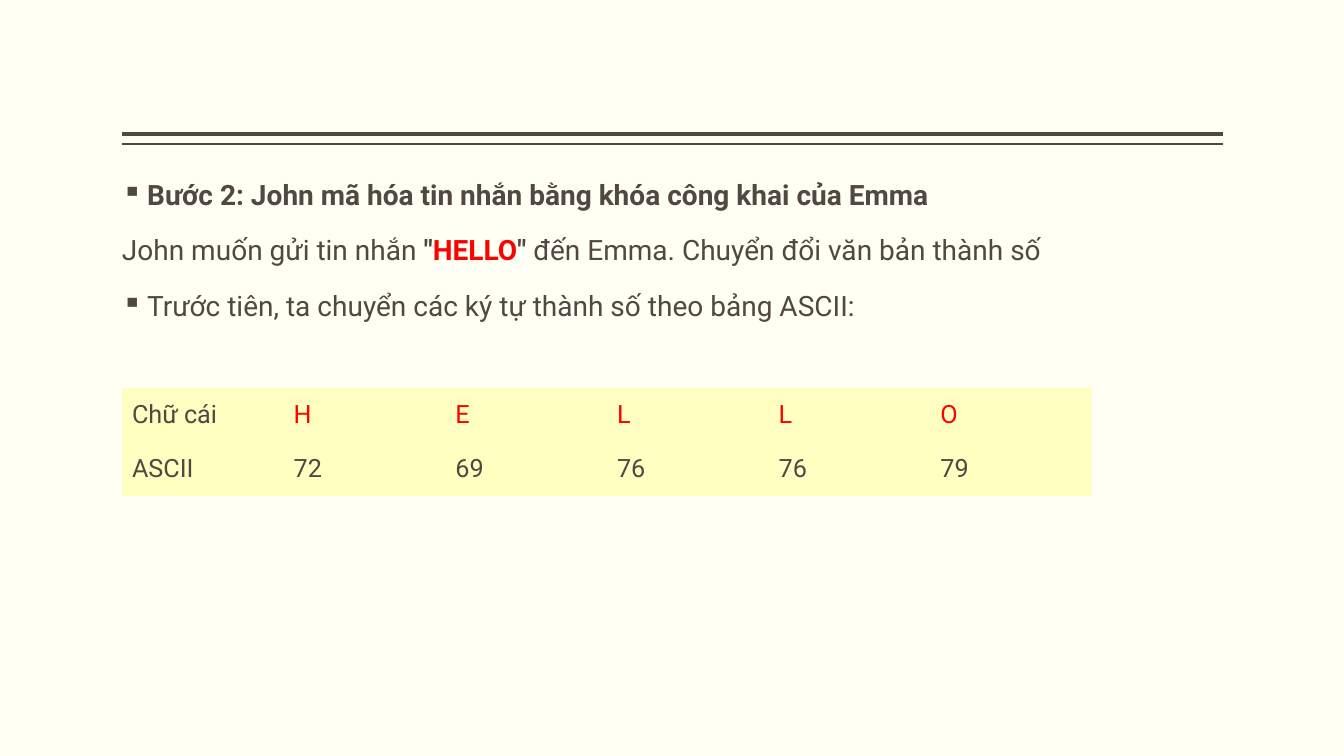
from lxml.etree import SubElement
from pptx import Presentation
from pptx.dml.color import RGBColor
from pptx.enum.shapes import MSO_CONNECTOR
from pptx.enum.text import MSO_ANCHOR
from pptx.oxml.ns import qn
from pptx.util import Pt

INK, RED, CREAM, YELLOW = "514843", "FF0000", "FFFFF3", "FFFFC1"
LEFT, RIGHT = 87.1, 873.4
NO_STYLE_NO_GRID = "{2D5ABB26-0587-4C30-8999-92F81FD0307C}"


def rgb(value):
    return RGBColor.from_string(value)


def add_run(paragraph, text, color, size, bold=False):
    run = paragraph.add_run()
    run.text = text
    run.font.color.rgb = rgb(color)
    for name, value in {"name": "Roboto", "size": Pt(size), "bold": bold}.items():
        setattr(run.font, name, value)


prs = Presentation()
prs.slide_width, prs.slide_height = Pt(960), Pt(540)
slide = prs.slides.add_slide(prs.slide_layouts[6])
slide.background.fill.solid()
slide.background.fill.fore_color.rgb = rgb(CREAM)

# Double rule under the title area
for y, weight in [(95.8, 3), (103, 1)]:
    rule = slide.shapes.add_connector(
        MSO_CONNECTOR.STRAIGHT, Pt(RIGHT), Pt(y), Pt(LEFT), Pt(y))
    rule.line.color.rgb = rgb(INK)
    rule.line.width = Pt(weight)
    SubElement(rule._element.spPr, qn("a:effectLst"))

# Explanation: (bulleted, [(text, color, bold), ...])
steps = [
    (True, [("Bước 2: John mã hóa tin nhắn bằng khóa công khai của Emma", INK, True)]),
    (False, [("John muốn gửi tin nhắn ", INK, False),
             ('"', INK, True), ("HELLO", RED, True), ('"', INK, True),
             (" đến Emma. Chuyển đổi văn bản thành số", INK, False)]),
    (True, [("Trước tiên, ta chuyển các ký tự thành số theo bảng ASCII:", INK, False)]),
]
body = slide.shapes.add_textbox(
    Pt(LEFT), Pt(126), Pt(RIGHT - LEFT), Pt(360)).text_frame
body_format = {"word_wrap": True, "margin_left": 0, "margin_right": 0,
               "margin_top": Pt(3.6), "margin_bottom": Pt(3.6)}
for name, value in body_format.items():
    setattr(body, name, value)

for index, (bulleted, pieces) in enumerate(steps):
    paragraph = body.add_paragraph() if index else body.paragraphs[0]
    if bulleted:
        properties = paragraph._p.get_or_add_pPr()
        properties.set("marL", str(Pt(18)))
        properties.set("indent", str(Pt(-18)))
        SubElement(properties, qn("a:buChar"), char="▪")
    paragraph.line_spacing = 0.9
    if index:
        paragraph.space_before = Pt(18)
    for text, color, bold in pieces:
        add_run(paragraph, text, color, 20, bold)

# Letters of the message and their ASCII codes
word = "HELLO"
ascii_rows = [["Chữ cái", *word], ["ASCII", *(str(ord(letter)) for letter in word)]]
column_count = len(ascii_rows[0])
ascii_table = slide.shapes.add_table(
    len(ascii_rows), column_count,
    Pt(LEFT), Pt(277.1), Pt(115.5 * column_count), Pt(77.2)).table
ascii_table.first_row = ascii_table.horz_banding = False
ascii_table._tbl.tblPr.find(qn("a:tableStyleId")).text = NO_STYLE_NO_GRID

for row, values in enumerate(ascii_rows):
    for column, value in enumerate(values):
        cell = ascii_table.cell(row, column)
        cell.fill.solid()
        cell.fill.fore_color.rgb = rgb(YELLOW)
        cell.vertical_anchor = MSO_ANCHOR.MIDDLE
        color = RED if row == 0 and column > 0 else INK
        add_run(cell.text_frame.paragraphs[0], value, color, 18)

prs.save("out.pptx")
